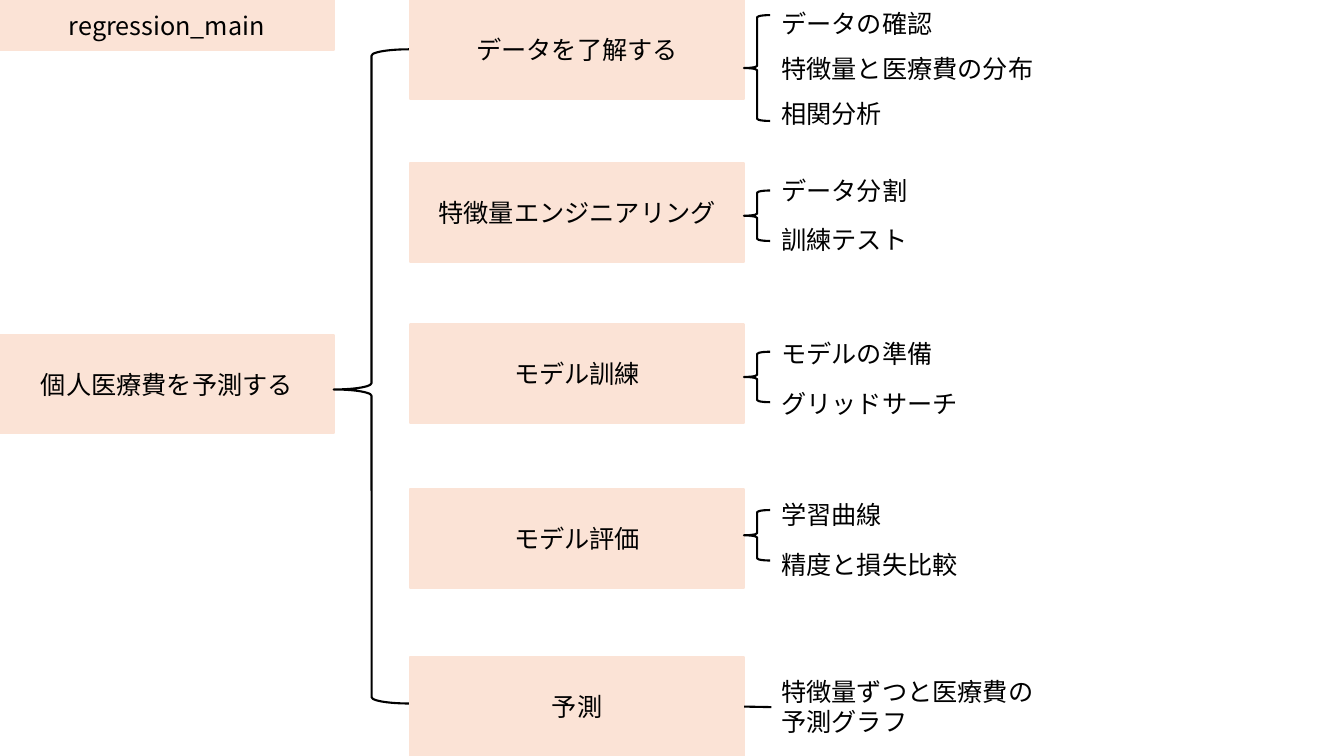
import pptx
import pptx.util
import pptx.dml.color
import pptx.enum.shapes
import pptx.enum.text
import pptx.oxml.ns
from lxml import etree

KIND = pptx.enum.shapes.MSO_SHAPE
ALIGN = pptx.enum.text.PP_ALIGN
RGB = pptx.dml.color.RGBColor.from_string

THEME = {
    "peach": RGB("FBE3D6"),
    "ink": RGB("000000"),
    "font": "Noto Sans CJK SC",
    "size": pptx.util.Pt(18),
    "line": pptx.util.Pt(1.5),
}

# The grid has 100 columns and 100 rows
WIDE, HIGH = pptx.util.Inches(13.333), pptx.util.Inches(7.5)
BOX_W, BOX_H = 24.83, 13.07
STEP_X = 30.53              # left edge of the step boxes
NOTE_W, NOTE_H = 21.15, 5.33
GAP = 2.03                  # from a step box to its notes
BRACE_W = 1.95

# Step, top, first note below top, note pitch, brace below top, brace height, notes
STEPS = [
    ("データを了解する", 0, 0.4, 6, 2, 14,
     ["データの確認", "特徴量と医療費の分布", "相関分析"]),
    ("特徴量エンジニアリング", 21.6, 0.93, 6.53, 3.6, 6.67,
     ["データ分割", "訓練テスト"]),
    ("モデル訓練", 42.93, 1.2, 6.53, 3.6, 6.67,
     ["モデルの準備", "グリッドサーチ"]),
    ("モデル評価", 64.67, 0.67, 6.67, 2.8, 6.67,
     ["学習曲線", "精度と損失比較"]),
    ("予測", 86.93, 1.87, 0, 0, 0,
     ["特徴量ずつと医療費の予測グラフ"]),
]


def place(x, y, w, h):
    return [round(v * full / 100)
            for v, full in zip((x, y, w, h), (WIDE, HIGH, WIDE, HIGH))]


def put(item, form):
    for name, value in form.items():
        setattr(item, name, value)


def stroke(shape, tint):
    shape.line.color.rgb = THEME[tint]
    shape.line.width = THEME["line"]


def write(shape, text, align, form):
    put(shape.text_frame, {"word_wrap": True, **form})
    para = shape.text_frame.paragraphs[0]
    para.alignment = align
    run = para.add_run()
    run.text = text
    put(run.font, {"name": THEME["font"], "size": THEME["size"]})
    run.font.color.rgb = THEME["ink"]
    # Typeface for Japanese letters
    east = etree.SubElement(run.font._element, pptx.oxml.ns.qn("a:ea"))
    east.set("typeface", THEME["font"])


def add_box(slide, text, x, y, h=BOX_H):
    box = slide.shapes.add_shape(KIND.RECTANGLE, *place(x, y, BOX_W, h))
    box.shadow.inherit = False
    box.fill.solid()
    box.fill.fore_color.rgb = THEME["peach"]
    stroke(box, "peach")
    write(box, text, ALIGN.CENTER,
          {"vertical_anchor": pptx.enum.text.MSO_ANCHOR.MIDDLE})
    return box


def add_note(slide, text, x, y, h):
    note = slide.shapes.add_textbox(*place(x, y, NOTE_W, h))
    write(note, text, ALIGN.LEFT,
          {"auto_size": pptx.enum.text.MSO_AUTO_SIZE.SHAPE_TO_FIT_TEXT})
    return note


def add_brace(slide, x, y, w, h, mid=0.5):
    brace = slide.shapes.add_shape(KIND.LEFT_BRACE, *place(x, y, w, h))
    brace.shadow.inherit = False
    brace.fill.background()
    stroke(brace, "ink")
    brace.adjustments[1] = mid


def add_link(slide, box, note):
    link = slide.shapes.add_connector(
        pptx.enum.shapes.MSO_CONNECTOR.STRAIGHT, 0, 0, 0, 0)
    link.begin_connect(box, 3)
    link.end_connect(note, 1)
    stroke(link, "ink")
    etree.SubElement(link._element.spPr, pptx.oxml.ns.qn("a:effectLst"))


def add_root(slide, x, y):
    # Script name, goal and the brace over all steps
    add_box(slide, "regression_main", x, y, 6.67)
    add_box(slide, "個人医療費を予測する", x, y + 44.27)
    add_brace(slide, x + BOX_W, y + 6.53, 5.63, 86.53, 0.52)


def add_step(slide, x, y, name, first, pitch, drop, span, notes):
    # One step box with its notes to the right
    box = add_box(slide, name, x, y)
    edge = x + BOX_W
    high = NOTE_H if span else 9.47
    texts = [add_note(slide, text, edge + GAP, y + first + i * pitch, high)
             for i, text in enumerate(notes)]
    if span:
        add_brace(slide, edge, y + drop, BRACE_W, span)
    else:
        add_link(slide, box, texts[0])


def main():
    deck = pptx.Presentation()
    put(deck, {"slide_width": WIDE, "slide_height": HIGH})
    slide = deck.slides.add_slide(deck.slide_layouts[6])
    add_root(slide, 0, 0)
    for name, top, *rest in STEPS:
        add_step(slide, STEP_X, top, name, *rest)
    deck.save("out.pptx")


if __name__ == "__main__":
    main()
